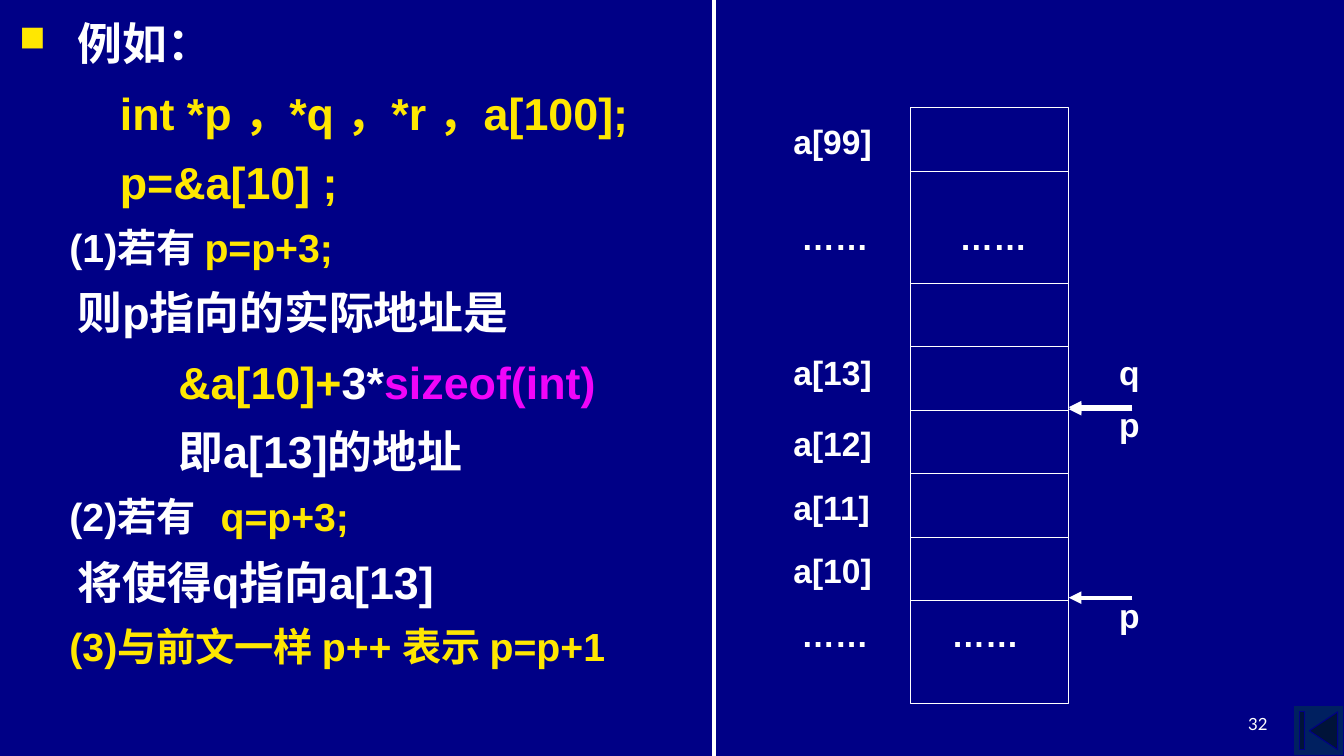
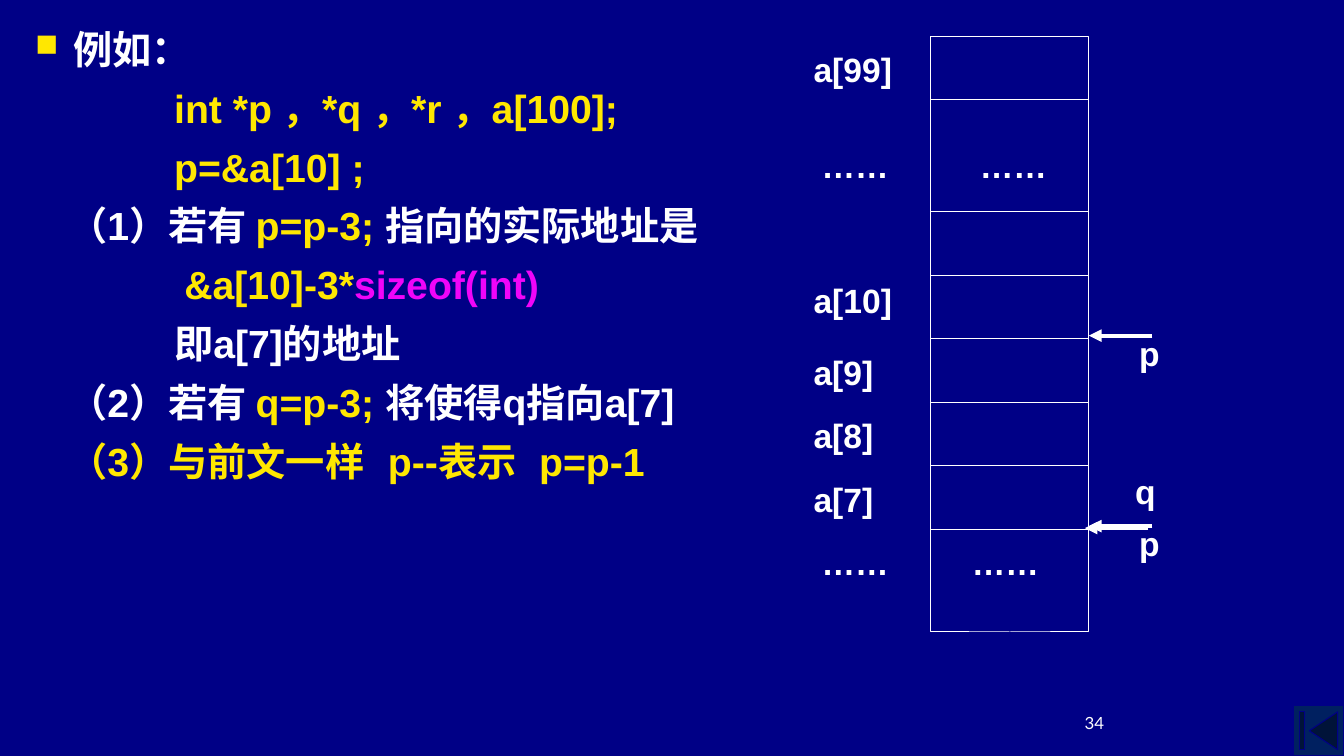
import pptx
import pptx.util
import pptx.dml.color
import pptx.enum.shapes
import pptx.enum.text
import pptx.oxml
import pptx.oxml.ns
from lxml import etree
from itertools import accumulate

Inches = pptx.util.Inches
Pt = pptx.util.Pt
MSO_SHAPE = pptx.enum.shapes.MSO_SHAPE

NAVY, WHITE, YELLOW, MAGENTA, BUTTON = "000086", "FFFFFF", "FFE701", "F005F9", "002060"
BODY_FONT, NUMBER_FONT = "Arial", "Lato"
CELL_WIDTH, CELL = 1.57, 0.63
CELL_HEIGHTS = [CELL, 1.11] + [CELL] * 5 + [1.02]
CELL_TOPS = [0] + list(accumulate(CELL_HEIGHTS))[:-1]
DOTS = "……"


def rgb(value):
    return pptx.dml.color.RGBColor.from_string(value)


def add_xml(parent, tag, **attributes):
    return etree.SubElement(parent, pptx.oxml.ns.qn(tag), **attributes)


def add_run(paragraph, text, size, color=WHITE, font=BODY_FONT, bold=True):
    run = paragraph.add_run()
    run.text = text
    run.font.size = Pt(size)
    run.font.name = font
    run.font.bold = bold
    run.font.color.rgb = rgb(color)


def add_frame(slide, left, top, width, height):
    box = slide.shapes.add_textbox(Inches(left), Inches(top), Inches(width), Inches(height))
    box.text_frame.word_wrap = True
    return box.text_frame


def add_label(slide, left, top, width, text):
    frame = add_frame(slide, left, top, width, 0.5)
    add_run(frame.paragraphs[0], text, 24)


def add_outline(slide, preset, left, top, width, height, line, fill=None):
    shape = slide.shapes.add_shape(
        preset, Inches(left), Inches(top), Inches(width), Inches(height))
    shape.shadow.inherit = False
    if fill:
        shape.fill.solid()
        shape.fill.fore_color.rgb = rgb(fill)
    else:
        shape.fill.background()
    shape.line.color.rgb = rgb(line)
    shape.line.width = Pt(0.75)


def add_rule(slide, start, end, arrow=False):
    rule = slide.shapes.add_connector(
        pptx.enum.shapes.MSO_CONNECTOR.STRAIGHT, *map(Inches, start + end))
    rule.line.color.rgb = rgb(WHITE)
    rule.line.width = Pt(3)
    if arrow:
        add_xml(rule.line._get_or_add_ln(), "a:tailEnd", type="triangle")
    add_xml(rule._element.spPr, "a:effectLst")


def set_indent(paragraph, margin, indent, bullet=False, tabs=()):
    properties = paragraph._p.get_or_add_pPr()
    properties.set("marL", str(Inches(margin)))
    properties.set("indent", str(Inches(indent)))
    if bullet:
        add_xml(add_xml(properties, "a:buClr"), "a:srgbClr", val=YELLOW)
        add_xml(properties, "a:buSzPct", val="80000")
        add_xml(properties, "a:buChar", char="■")
    else:
        add_xml(properties, "a:buNone")
    if tabs:
        stops = add_xml(properties, "a:tabLst")
        for position in tabs:
            add_xml(stops, "a:tab", pos=str(Inches(position)), algn="l")


def add_body(slide, box, lines, styles, after):
    frame = add_frame(slide, *box)
    for number, (style, runs) in enumerate(lines):
        paragraph = frame.add_paragraph() if number else frame.paragraphs[0]
        size, *indent = styles[style]
        set_indent(paragraph, *indent)
        if number:
            paragraph.space_before = Pt(size * 0.2)
        paragraph.space_after = Pt(size * after)
        for text, color in runs:
            add_run(paragraph, text, size, color)


def add_pointer(slide, left, top, name, name_shift):
    add_rule(slide, (left + 0.63, top), (left, top), arrow=True)
    add_label(slide, left + 0.4, top + name_shift, 0.51, name)


def add_memory(slide, left, top, indices, p_rows, q_row, q_shift=0):
    for cell_top, height in zip(CELL_TOPS, CELL_HEIGHTS):
        add_outline(slide, MSO_SHAPE.RECTANGLE, left, top + cell_top, CELL_WIDTH, height, WHITE)
    for row, index, drop in zip((0, 3, 4, 5, 6), indices, (0.08, 0, 0.08, 0.08, 0.08)):
        add_label(slide, left - 1.26, top + CELL_TOPS[row] + drop, 1.18, f"a[{index}]")
    for row, drop, inset in ((1, 0.4, 0.39), (7, 0.08, 0.31)):
        for dots_left in (-1.18, inset):
            add_label(slide, left + dots_left, top + CELL_TOPS[row] + drop, 0.94, DOTS)
    right = left + CELL_WIDTH
    for row in p_rows:
        add_pointer(slide, right, top + CELL_TOPS[row + 1] - 0.03, "p", -0.08)
    add_pointer(slide, right + q_shift, top + CELL_TOPS[q_row + 1] - 0.01, "q", -0.62)


def add_footer(slide, box, number):
    add_outline(slide, MSO_SHAPE.ACTION_BUTTON_BEGINNING, 12.83, 7, 0.5, 0.5, NAVY, BUTTON)
    frame = add_frame(slide, *box)
    frame.vertical_anchor = pptx.enum.text.MSO_ANCHOR.BOTTOM
    frame.paragraphs[0].alignment = pptx.enum.text.PP_ALIGN.RIGHT
    add_run(frame.paragraphs[0], number, 12, font=NUMBER_FONT, bold=False)


def build_increment(slide):
    styles = {
        "head": (32, 0.58, -0.58, True),
        "code": (32, 1.42, -0.42),
        "item": (28, 1, -0.5),
        "text": (32, 0.58, 0),
        "deep": (32, 1.58, 0),
    }
    lines = [
        ("head", [("例如：", WHITE)]),
        ("code", [("int *p ，*q ，*r ，a[100];", YELLOW)]),
        ("code", [("p=&a[10] ;", YELLOW)]),
        ("item", [("(1)若有 ", WHITE), ("p=p+3;", YELLOW)]),
        ("text", [("则p指向的实际地址是", WHITE)]),
        ("deep", [("&a[10]+", YELLOW), ("3*", WHITE), ("sizeof(int)", MAGENTA)]),
        ("deep", [("即a[13]的地址", WHITE)]),
        ("item", [("(2)若有\t", WHITE), ("q=p+3;", YELLOW)]),
        ("text", [("将使得q指向a[13]", WHITE)]),
        ("item", [("(3)与前文一样 p++ 表示 p=p+1", YELLOW)]),
    ]
    add_body(slide, (0.09, 0.11, 6.68, 6.93), lines, styles, 0.15)
    add_rule(slide, (7.08, 0), (7.08, 7.5))
    add_memory(slide, 9.03, 1.07, (99, 13, 12, 11, 10), (3, 6), 3)
    add_footer(slide, (9.56, 6.83, 3.11, 0.5), "32")


def build_decrement(slide):
    styles = {
        "head": (28, 0.38, -0.38, True),
        "deep": (28, 1.38, 0),
        "sum": (28, 1.48, 0),
        "item": (28, 0, 0.33),
        "tabbed": (28, 0, 0.33, False, (3.66, 4.46, 5.5)),
    }
    lines = [
        ("head", [("例如：", WHITE)]),
        ("deep", [("int *p ，*q ，*r ，a[100];", YELLOW)]),
        ("deep", [("p=&a[10] ;", YELLOW)]),
        ("item", [("（1）若有 ", WHITE), ("p=p-3; ", YELLOW), ("指向的实际地址是", WHITE)]),
        ("sum", [("&a[10]-3*", YELLOW), ("sizeof(int)", MAGENTA)]),
        ("deep", [("即a[7]的地址", WHITE)]),
        ("item", [("（2）若有 ", WHITE), ("q=p-3; ", YELLOW), ("将使得q指向a[7]", WHITE)]),
        ("tabbed", [("（3）与前文一样\tp--\t表示\tp=p-1", YELLOW)]),
    ]
    add_body(slide, (0.25, 0.2, 7.4, 5.02), lines, styles, 0.1)
    add_memory(slide, 9.23, 0.36, (99, 10, 9, 8, 7), (3, 6), 6, -0.04)
    add_footer(slide, (9.99, 6.82, 1.06, 0.5), "34")


def main():
    deck = pptx.Presentation()
    deck.slide_width, deck.slide_height = Inches(13.33), Inches(7.5)
    backdrop = deck.slide_master.background.fill
    backdrop.solid()
    backdrop.fore_color.rgb = rgb(NAVY)
    for build in (build_increment, build_decrement):
        build(deck.slides.add_slide(deck.slide_layouts[6]))
    deck.save("out.pptx")


if __name__ == "__main__":
    main()
